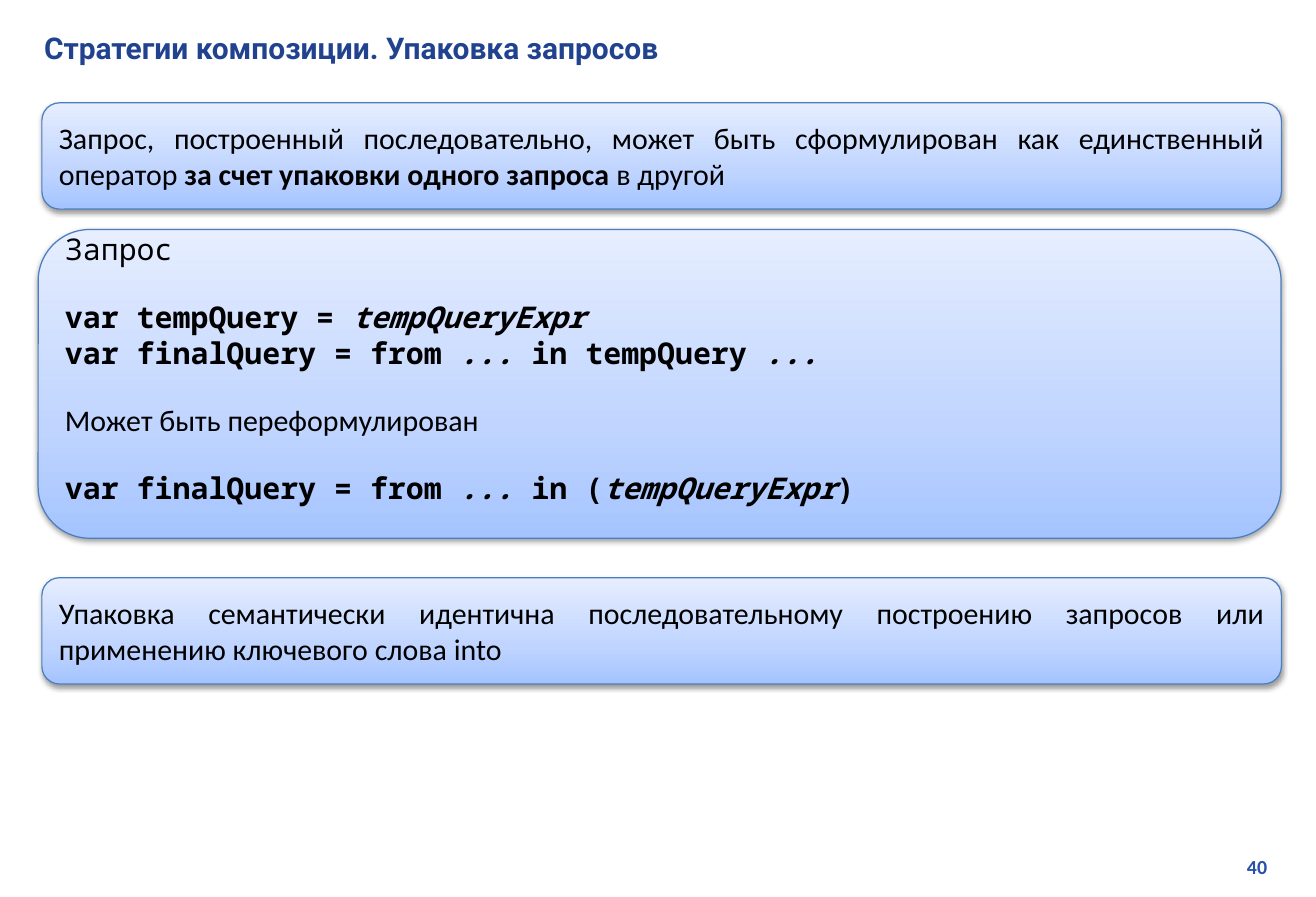
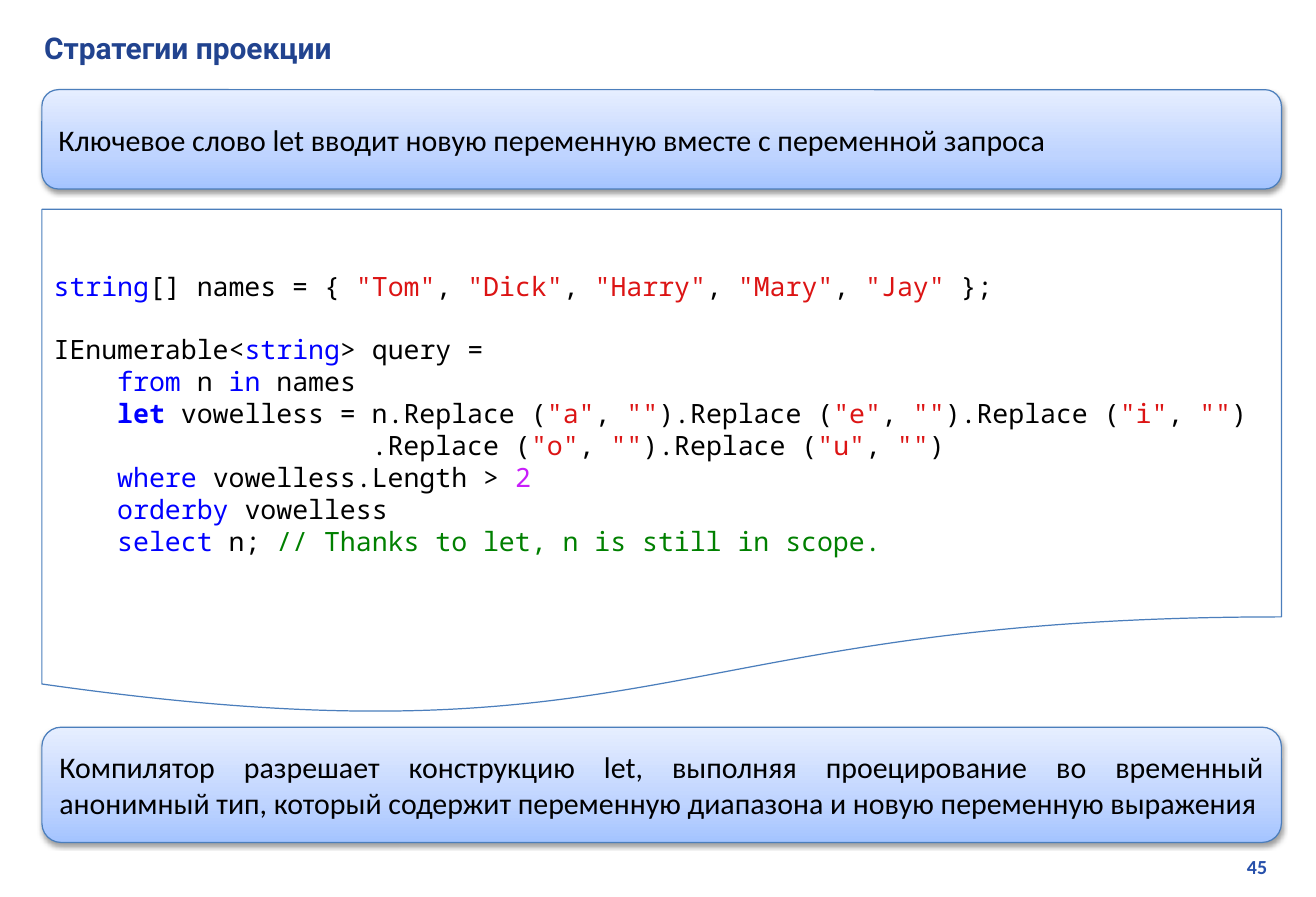
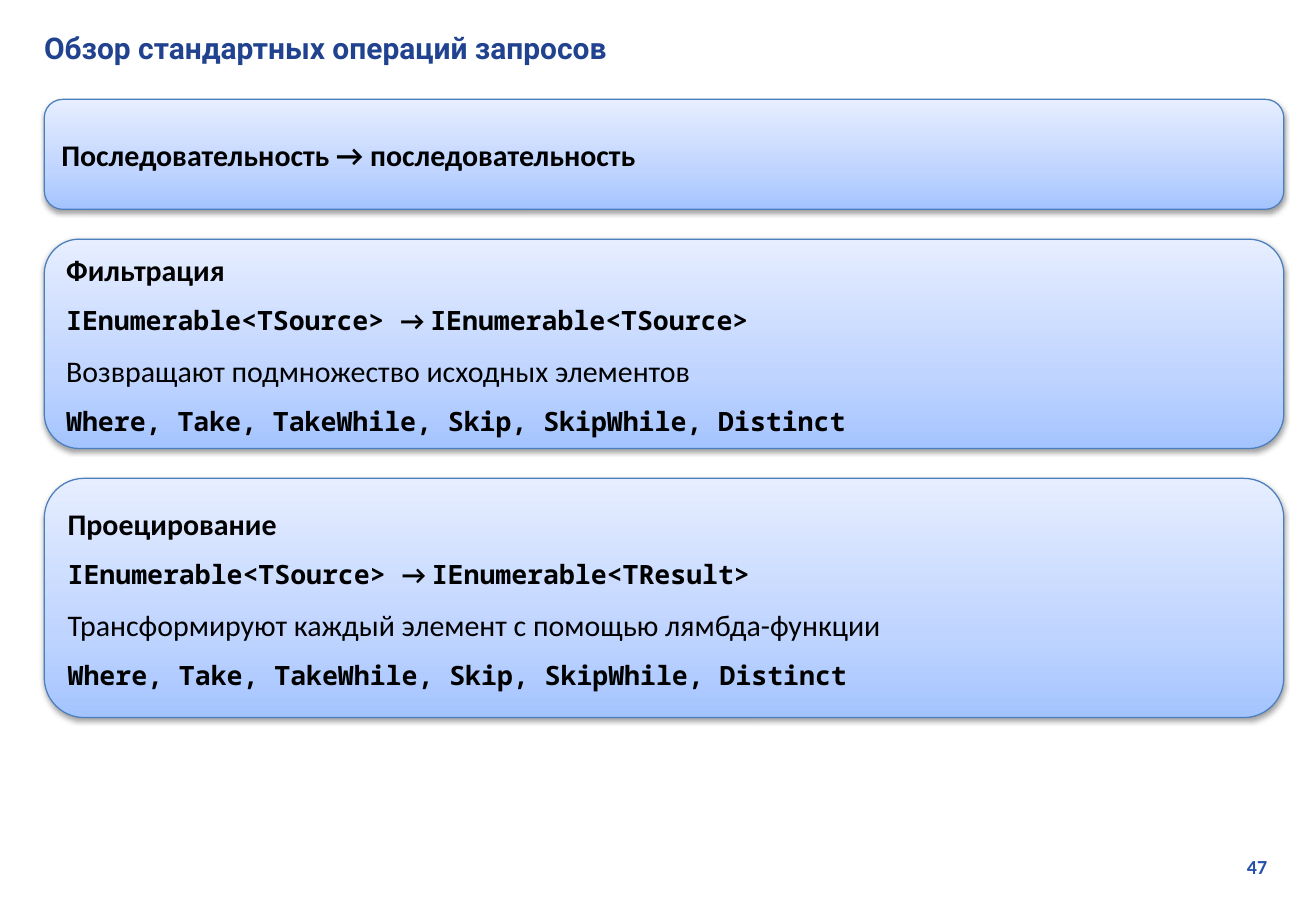
from lxml import etree
from pptx import Presentation
from pptx.dml.color import RGBColor
from pptx.enum.shapes import MSO_SHAPE
from pptx.enum.text import MSO_ANCHOR, PP_ALIGN
from pptx.oxml.ns import qn
from pptx.util import Pt

ROUNDED, DOCUMENT = MSO_SHAPE.ROUNDED_RECTANGLE, MSO_SHAPE.FLOWCHART_DOCUMENT
MIDDLE, TOP = MSO_ANCHOR.MIDDLE, MSO_ANCHOR.TOP
LEFT, RIGHT, JUSTIFY = PP_ALIGN.LEFT, PP_ALIGN.RIGHT, PP_ALIGN.JUSTIFY

COLORS = {
    "title": "21438F", "number": "2750AB", "text": "000000", "line": "4B7EBC",
    "paper": "FFFFFF", "keyword": "0000FF", "string": "DC1414",
    "digit": "C81EFA", "comment": "008000", "shadow": "000000",
}
PANEL_GRADIENT = [(0, "A4C4FF"), (35, "BFD4FF"), (100, "E6EEFF")]

SANS, MONO = "Calibri", "Noto Sans Mono"


def style(name, size, color="text", bold=False, italic=False):
    return {"name": name, "size": Pt(size), "bold": bold, "italic": italic, "color": color}


STYLES = {
    "title": style("Roboto", 18, "title", bold=True),
    "number": style(SANS, 12, "number", bold=True),
    "body": style(SANS, 18),
    "strong": style(SANS, 18, bold=True),
    "arrow": style(SANS, 16, bold=True),
    "label": style(MONO, 18),
    "query": style(MONO, 18, bold=True),
    "variable": style(MONO, 18, bold=True, italic=True),
    "type": style(MONO, 16, bold=True),
    "code": style(MONO, 16),
    "let": style(MONO, 16, "keyword", bold=True),
    **{name: style(MONO, 16, name) for name in ("keyword", "string", "digit", "comment")},
}

PANEL_LEFT, PANEL_WIDTH = 25.2, 746
NUMBER_TOP = 511.2
BLANK_LINE = 19
PARAGRAPH_GAP = 10


def color(name):
    return RGBColor.from_string(COLORS[name])


def write(shape, paragraphs, align=LEFT, anchor=MIDDLE, after=0, gaps=()):
    """Fill a shape with paragraphs of (style, text) spans; gaps lists indices that follow a blank line."""
    frame = shape.text_frame
    frame.word_wrap = True
    frame.vertical_anchor = anchor
    for index, spans in enumerate(paragraphs):
        para = frame.paragraphs[0] if index == 0 else frame.add_paragraph()
        para.alignment = align
        para.space_after = Pt(after)
        para.space_before = Pt(BLANK_LINE if index in gaps else 0)
        for style_name, text in spans:
            span = para.add_run()
            span.text = text
            for key, value in STYLES[style_name].items():
                if key == "color":
                    span.font.color.rgb = color(value)
                else:
                    setattr(span.font, key, value)


def add_text(page, left, top, width, height, spans, align=LEFT):
    box = page.shapes.add_textbox(Pt(left), Pt(top), Pt(width), Pt(height))
    write(box, [spans], align, TOP)


def add_outlined(page, kind, left, top, width, height):
    shape = page.shapes.add_shape(kind, Pt(left), Pt(top), Pt(width), Pt(height))
    shape.shadow.inherit = False
    shape.line.color.rgb = color("line")
    shape.line.width = Pt(0.75)
    return shape


def add_color(parent, value, **changes):
    node = etree.SubElement(parent, qn("a:srgbClr"), val=value)
    for tag, amount in changes.items():
        etree.SubElement(node, qn(f"a:{tag}"), val=str(amount))


def add_panel(page, top, height, paragraphs, left=PANEL_LEFT, width=PANEL_WIDTH, **layout):
    """Rounded panel with a blue gradient and a soft shadow below."""
    panel = add_outlined(page, ROUNDED, left, top, width, height)
    panel.fill.gradient()
    panel.fill.gradient_angle = 90
    properties = panel.fill._xPr
    stops = properties.find(".//" + qn("a:gsLst"))
    for stop in list(stops):
        stops.remove(stop)
    for position, value in PANEL_GRADIENT:
        add_color(etree.SubElement(stops, qn("a:gs"), pos=str(position * 1000)), value)
    shadow = etree.SubElement(
        properties.find(qn("a:effectLst")), qn("a:outerShdw"),
        blurRad=str(Pt(3.1)), dist=str(Pt(1.6)), dir=str(90 * 60000), rotWithShape="0")
    add_color(shadow, COLORS["shadow"], alpha=38000)
    write(panel, paragraphs, **layout)
    return panel


def add_code_sheet(page, top, height, lines, gaps):
    sheet = add_outlined(page, DOCUMENT, PANEL_LEFT, top, PANEL_WIDTH, height)
    sheet.fill.solid()
    sheet.fill.fore_color.rgb = color("paper")
    write(sheet, [color_strings(line) for line in lines], gaps=gaps)


def color_strings(spans):
    """Split the string literals out of plain code spans."""
    result = []
    for name, text in spans:
        if name != "code":
            result.append((name, text))
            continue
        for index, piece in enumerate(text.split('"')):
            if index % 2:
                result.append(("string", f'"{piece}"'))
            elif piece:
                result.append(("code", piece))
    return result


def add_page(deck, number, title):
    page = deck.slides.add_slide(deck.slide_layouts[6])
    add_text(page, 602, NUMBER_TOP, 167.7, 21.6, [("number", str(number))], RIGHT)
    add_text(page, 19.44, 14.4, 756, 28.8, [("title", title)])
    return page


def build_wrapping_page(deck):
    page = add_page(deck, 40, "Стратегии композиции. Упаковка запросов")
    add_panel(page, 61.9, 64, [[
        ("body", "Запрос, построенный последовательно, может быть сформулирован "
                 "как единственный оператор "),
        ("strong", "за счет упаковки одного запроса "),
        ("body", "в другой"),
    ]], align=JUSTIFY)
    final_query = [("query", "var finalQuery = from "), ("variable", "... ")]
    example = add_panel(page, 138.2, 185.8, [
        [("label", "Запрос")],
        [("query", "var tempQuery = "), ("variable", "tempQueryExpr")],
        final_query + [("query", "in tempQuery "), ("variable", "...")],
        [("body", "Может быть переформулирован")],
        final_query + [("query", "in ("), ("variable", "tempQueryExpr"), ("query", ")")],
    ], left=23, width=748, gaps=(1, 3, 4))
    example.text_frame.margin_bottom = Pt(3.6 + BLANK_LINE)
    add_panel(page, 347.8, 64, [[
        ("body", "Упаковка семантически идентична последовательному построению "
                 "запросов или применению ключевого слова into"),
    ]], align=JUSTIFY)


def build_projection_page(deck):
    page = add_page(deck, 45, "Стратегии проекции")
    add_code_sheet(page, 126, 306, [
        [("keyword", "string"),
         ("code", '[] names = { "Tom", "Dick", "Harry", "Mary", "Jay" };')],
        [("code", "IEnumerable<"), ("keyword", "string"), ("code", "> query =")],
        [("keyword", "    from "), ("code", "n "), ("keyword", "in"), ("code", " names")],
        [("let", "    let "),
         ("code", 'vowelless = n.Replace ("a", "").Replace ("e", "").Replace ("i", "")')],
        [("code", '                    .Replace ("o", "").Replace ("u", "")')],
        [("keyword", "    where "), ("code", "vowelless.Length > "), ("digit", "2")],
        [("keyword", "    orderby "), ("code", "vowelless")],
        [("keyword", "    select "), ("code", "n; "),
         ("comment", "// Thanks to let, n is still in scope.")],
    ], gaps=(1,))
    closing_top = 437.8
    for top, height, text in (
        (54, 59.8, "Ключевое слово let вводит новую переменную вместе с переменной запроса"),
        (closing_top, NUMBER_TOP - 4 - closing_top,
         "Компилятор разрешает конструкцию let, выполняя проецирование во "
         "временный анонимный тип, который содержит переменную диапазона "
         "и новую переменную выражения"),
    ):
        add_panel(page, top, height, [[("body", text)]], align=JUSTIFY, after=PARAGRAPH_GAP)


def build_operations_page(deck):
    page = add_page(deck, 47, "Обзор стандартных операций запросов")
    layout = {"left": 26.64, "after": PARAGRAPH_GAP}
    add_panel(page, 59.8, 66.2,
              [[("strong", "Последовательность → последовательность")]], **layout)
    for top, height, name, result, purpose in (
        (144, 126, "Фильтрация", "TSource", "Возвращают подмножество исходных элементов"),
        (288, 144, "Проецирование", "TResult",
         "Трансформируют каждый элемент с помощью лямбда-функции"),
    ):
        add_panel(page, top, height, [
            [("strong", name)],
            [("type", "IEnumerable<TSource> "), ("arrow", "→ "),
             ("type", f"IEnumerable<{result}>")],
            [("body", purpose)],
            [("type", "Where, Take, TakeWhile, Skip, SkipWhile, Distinct")],
        ], **layout)


def main():
    deck = Presentation()
    deck.slide_width, deck.slide_height = Pt(792), Pt(540)
    build_wrapping_page(deck)
    build_projection_page(deck)
    build_operations_page(deck)
    deck.save("out.pptx")


if __name__ == "__main__":
    main()
